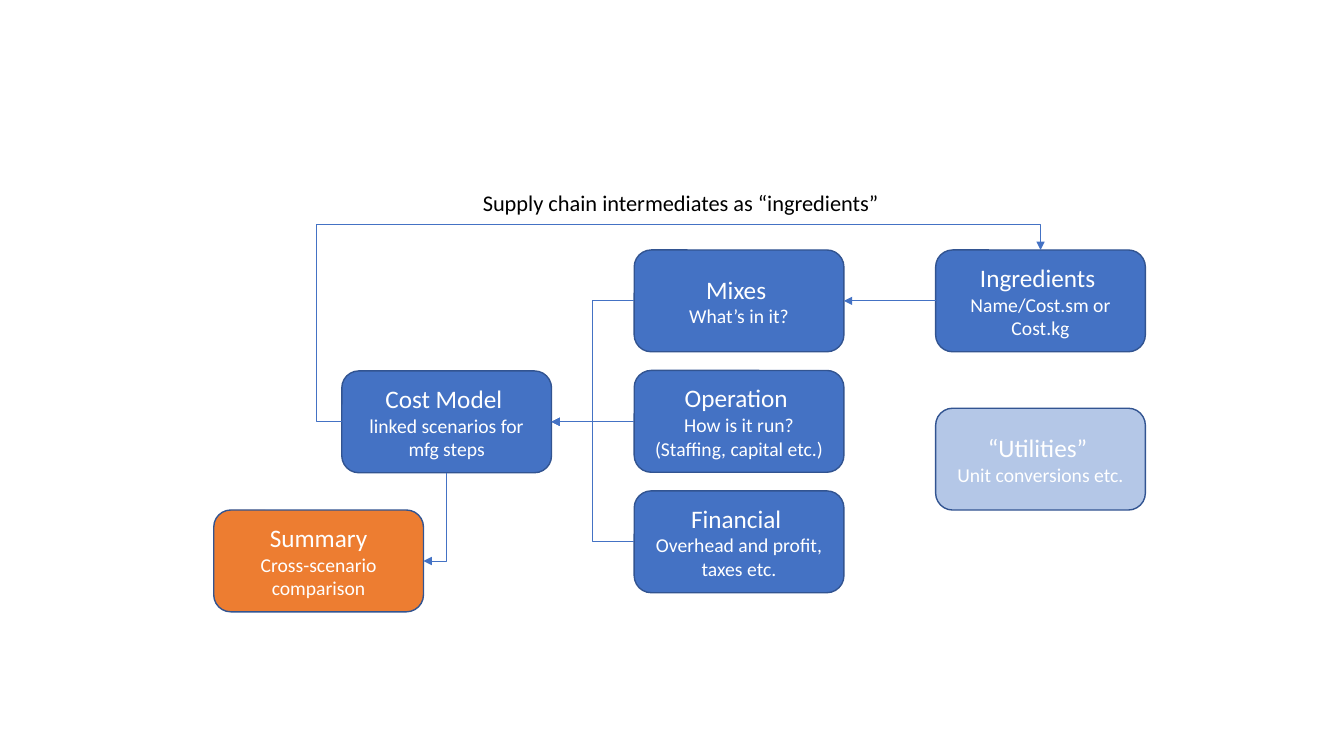
from lxml import etree
from pptx import Presentation
from pptx import util as u
from pptx.dml.color import RGBColor
from pptx.enum import shapes, text
from pptx.oxml.ns import qn

BLUE, PALE, ORANGE = "4472C4", "B4C7E7", "ED7D31"
OUTLINE, WHITE, BLACK = "325491", "FFFFFF", "000000"
TOP, LEFT, BOTTOM, RIGHT = range(4)  # connection sites of a box


def color(value):
    """Turn a hex string into a colour."""
    return RGBColor.from_string(value)


class Diagram:
    """Holds the style and the slide, and draws each kind of element."""

    font = "Calibri"
    box_width, box_height = 2.08, 1.01

    def __init__(self, slide):
        """Keep the slide to draw on."""
        self.slide = slide

    def run(self, paragraph, words, size, hex_color):
        """Add one formatted run to a paragraph."""
        run = paragraph.add_run()
        run.text = words
        run.font.name, run.font.size = self.font, u.Pt(size)
        run.font.color.rgb = color(hex_color)

    def box(self, left, top, heading, detail, fill=BLUE):
        """Add a rounded box with a heading and a detail line."""
        shape = self.slide.shapes.add_shape(
            shapes.MSO_SHAPE.ROUNDED_RECTANGLE, u.Inches(left), u.Inches(top),
            u.Inches(self.box_width), u.Inches(self.box_height))
        shape.shadow.inherit = False
        shape.fill.solid()
        shape.fill.fore_color.rgb = color(fill)
        shape.line.color.rgb = color(OUTLINE)
        shape.line.width = u.Pt(1)
        frame = shape.text_frame
        frame.word_wrap = True
        frame.vertical_anchor = text.MSO_ANCHOR.MIDDLE
        for paragraph, words, size in (
                (frame.paragraphs[0], heading, 18),
                (frame.add_paragraph(), detail, 14)):
            paragraph.alignment = text.PP_ALIGN.CENTER
            self.run(paragraph, words, size, WHITE)
        return shape

    def label(self, left, top, width, height, words):
        """Add a plain line of text."""
        shape = self.slide.shapes.add_textbox(
            *(u.Inches(length) for length in (left, top, width, height)))
        shape.text_frame.word_wrap = True
        self.run(shape.text_frame.paragraphs[0], words, 16, BLACK)

    def arrow(self, start, start_site, end, end_site,
              kind=shapes.MSO_CONNECTOR.ELBOW, arrow_end="tailEnd"):
        """Join two boxes with a thin arrow."""
        connector = self.slide.shapes.add_connector(kind, 0, 0, 0, 0)
        connector.begin_connect(start, start_site)
        connector.end_connect(end, end_site)
        connector.line.color.rgb = color(BLUE)
        connector.line.width = u.Pt(0.5)
        line = connector.line._get_or_add_ln()
        etree.SubElement(line, qn("a:" + arrow_end), type="triangle")
        etree.SubElement(connector.element.spPr, qn("a:effectLst"))
        return connector

    def turned_arrow(self, *ends, preset, adjustments=(), **options):
        """Join two boxes with an elbow that leaves vertically."""
        connector = self.arrow(*ends, **options)
        width = abs(connector.end_y - connector.begin_y)
        height = abs(connector.end_x - connector.begin_x)
        middle_x = (connector.begin_x + connector.end_x) // 2
        middle_y = (connector.begin_y + connector.end_y) // 2
        properties = connector.element.spPr
        transform = properties.find(qn("a:xfrm"))
        for flip in ("flipH", "flipV"):
            transform.attrib.pop(flip, None)
        transform.set("rot", str(90 * 60000))
        connector.left, connector.top = middle_x - width // 2, middle_y - height // 2
        connector.width, connector.height = width, height
        geometry = properties.find(qn("a:prstGeom"))
        geometry.set("prst", preset)
        guides = geometry.find(qn("a:avLst"))
        for number, value in enumerate(adjustments, 1):
            etree.SubElement(guides, qn("a:gd"), name=f"adj{number}",
                             fmla=f"val {value}")


presentation = Presentation()
presentation.slide_width = u.Inches(13.33)
presentation.slide_height = u.Inches(7.5)
diagram = Diagram(presentation.slides.add_slide(presentation.slide_layouts[6]))

input_left, source_left, input_top = 6.29, 9.28, 2.48
cost_model = diagram.box(3.39, 3.68, "Cost Model ", "linked scenarios for mfg steps")
mixes, operation, financial = [
    diagram.box(input_left, input_top + 1.195 * row, heading, detail)
    for row, (heading, detail) in enumerate((
        ("Mixes ", "What’s in it?"),
        ("Operation ", "How is it run? (Staffing, capital etc.)"),
        ("Financial ", "Overhead and profit, taxes etc.")))]
ingredients = diagram.box(source_left, input_top, "Ingredients ",
                          "Name/Cost.sm or Cost.kg")
diagram.box(source_left, 4.05, "“Utilities” ", "Unit conversions etc.", PALE)
summary = diagram.box(2.12, 5.06, "Summary", "Cross-scenario comparison", ORANGE)

for cost_input in (mixes, operation, financial):
    diagram.arrow(cost_input, LEFT, cost_model, RIGHT)
diagram.arrow(ingredients, LEFT, mixes, RIGHT, shapes.MSO_CONNECTOR.STRAIGHT)
diagram.turned_arrow(ingredients, TOP, cost_model, LEFT, preset="bentConnector4",
                     adjustments=(-14700, 103600), arrow_end="headEnd")
diagram.turned_arrow(cost_model, BOTTOM, summary, RIGHT, preset="bentConnector2")
diagram.label(4.69, 1.83, 4.33, 0.37, "Supply chain intermediates as “ingredients”")

presentation.save("out.pptx")
